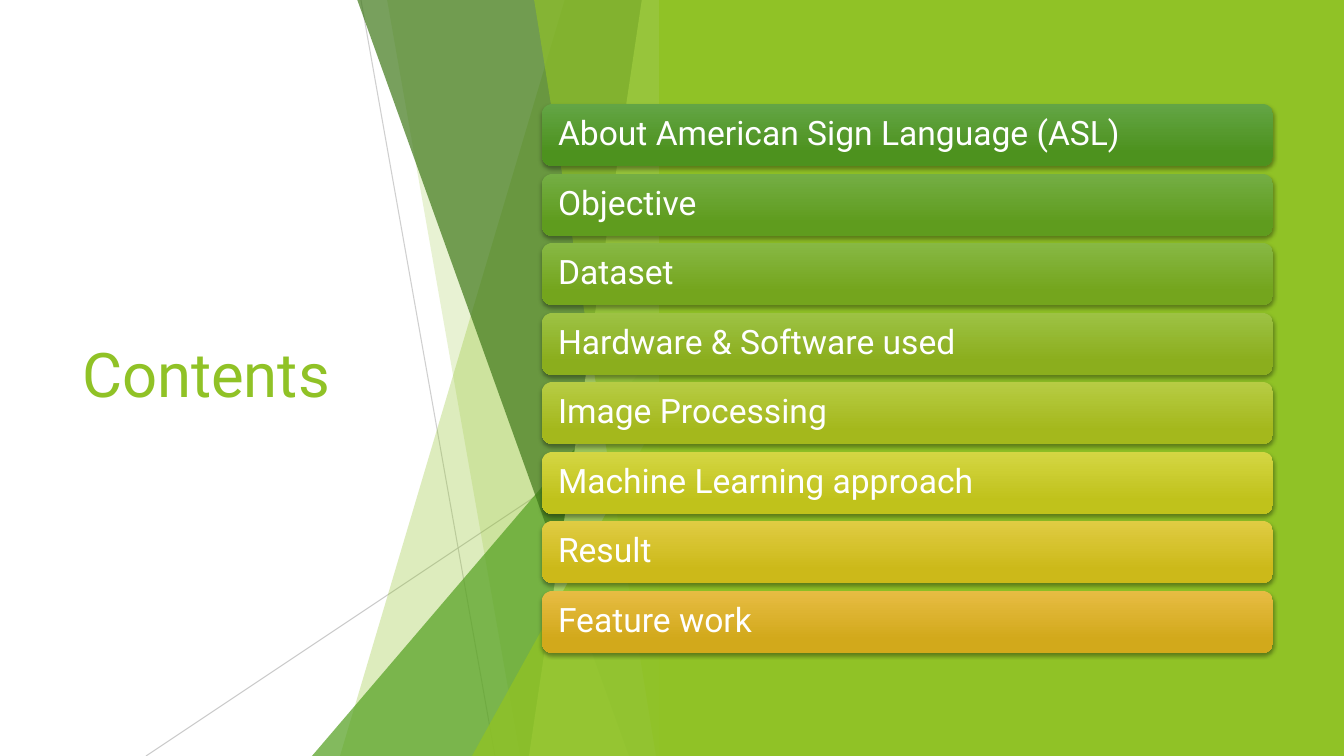
import pptx
import pptx.dml.color
import pptx.enum.shapes
import pptx.enum.text
import pptx.oxml
import pptx.oxml.ns
import pptx.util

SHAPE = pptx.enum.shapes.MSO_SHAPE
ALIGN = pptx.enum.text.PP_ALIGN
MIDDLE = pptx.enum.text.MSO_ANCHOR.MIDDLE
NS = pptx.oxml.ns.nsdecls("a")
WIDTH, HEIGHT = 1344, 756
BAND_RIGHT = 671

COLORS = {
    "lime": "90C226",
    "green": "54A021",
    "forest": "3F7819",
    "pale": "C0E474",
    "hairline": "BFBFBF",
    "white": "FFFFFF",
}

TOPICS = [
    ("About American Sign Language (ASL)", "63A545", "4D921E"),
    ("Objective", "74AE44", "5F9C1E"),
    ("Dataset", "87B844", "74A51D"),
    ("Hardware & Software used", "9DC244", "8BAE1D"),
    ("Image Processing", "B7CC44", "A4B81C"),
    ("Machine Learning approach", "D4D643", "C0C21B"),
    ("Result", "E0CC43", "CCB919"),
    ("Feature work", "E7BC43", "D2A91B"),
]


def px(length):
    return round(length * 12192000 / WIDTH)


def rgb(value):
    return pptx.dml.color.RGBColor.from_string(value)


class ContentsSlide:
    """Draws the elements of the contents slide in one shared style."""

    font = "Roboto"

    def __init__(self, deck):
        self.slide = deck.slides.add_slide(deck.slide_layouts[5])
        self.shapes = self.slide.shapes

    def set_alpha(self, fill, percent):
        color = fill._xPr.find(".//" + pptx.oxml.ns.qn("a:srgbClr"))
        color.append(pptx.oxml.parse_xml(f'<a:alpha {NS} val="{percent * 1000}"/>'))

    def paint(self, shape, color, alpha=100):
        shape.shadow.inherit = False
        shape.line.fill.background()
        shape.fill.solid()
        shape.fill.fore_color.rgb = rgb(COLORS[color])
        if alpha < 100:
            self.set_alpha(shape.fill, alpha)

    def set_text(self, frame, text, size, color):
        frame.text = text
        frame.word_wrap = True
        frame.vertical_anchor = MIDDLE
        paragraph = frame.paragraphs[0]
        paragraph.alignment = ALIGN.LEFT
        paragraph.line_spacing = 0.9
        paragraph.font.name = self.font
        paragraph.font.size = pptx.util.Pt(size)
        paragraph.font.color.rgb = rgb(COLORS[color])

    def title(self, text, left, top, width, height):
        heading = self.shapes.title
        heading.left, heading.top = px(left), px(top)
        heading.width, heading.height = px(width), px(height)
        self.set_text(heading.text_frame, text, 44, "lime")

    def hairline(self, x1, y1, x2, y2, alpha):
        line = self.shapes.add_connector(
            pptx.enum.shapes.MSO_CONNECTOR.STRAIGHT, px(x1), px(y1), px(x2), px(y2))
        line.line.width = pptx.util.Pt(0.75)
        line.line.fill.solid()
        line.line.color.rgb = rgb(COLORS["hairline"])
        self.set_alpha(line.line.fill, alpha)
        line._element.spPr.append(pptx.oxml.parse_xml(f"<a:effectLst {NS}/>"))

    def shard(self, top_left, bottom_left, color, alpha):
        outline = self.shapes.build_freeform(px(top_left), px(-1))
        outline.add_line_segments(
            [(px(x), px(y)) for x, y in
             ((BAND_RIGHT, -1), (BAND_RIGHT, HEIGHT), (bottom_left, HEIGHT))])
        self.paint(outline.convert_to_shape(), color, alpha)

    def wedge(self, left, top, color, alpha):
        triangle = self.shapes.add_shape(
            SHAPE.ISOSCELES_TRIANGLE, px(left), px(top),
            px(BAND_RIGHT - left), px(HEIGHT - top))
        triangle.adjustments[0] = 1
        self.paint(triangle, color, alpha)

    def panel(self, left):
        block = self.shapes.add_shape(
            SHAPE.RECTANGLE, px(left), 0, px(WIDTH - left), px(HEIGHT))
        self.paint(block, "lime")

    def topic_bar(self, text, light, dark, left, top, width, height):
        bar = self.shapes.add_shape(
            SHAPE.ROUNDED_RECTANGLE, px(left), px(top), px(width), px(height))
        bar.line.fill.background()
        bar.fill.gradient()
        bar.fill.gradient_angle = 270
        for stop, color, position in zip(bar.fill.gradient_stops, (light, dark), (0, 0.78)):
            stop.color.rgb = rgb(color)
            stop.position = position
        bar.shadow.inherit = False
        effects = bar._element.spPr.find(pptx.oxml.ns.qn("a:effectLst"))
        effects.append(pptx.oxml.parse_xml(
            f'<a:outerShdw {NS} blurRad="38100" dist="25400" dir="5400000" rotWithShape="0">'
            '<a:srgbClr val="000000"><a:alpha val="35000"/></a:srgbClr></a:outerShdw>'))
        frame = bar.text_frame
        frame.margin_left = frame.margin_right = px(13)
        self.set_text(frame, text, 24, "white")


def main():
    deck = pptx.Presentation()
    deck.slide_width, deck.slide_height = px(WIDTH), px(HEIGHT)
    contents = ContentsSlide(deck)

    contents.title("Contents", 72, 152, 391, 452)
    contents.hairline(361, 0, 495, HEIGHT, 75)
    contents.hairline(BAND_RIGHT, 406, 146, HEIGHT, 80)
    contents.shard(565, 340, "lime", 30)
    contents.shard(387, 520, "lime", 20)
    contents.wedge(312, 336, "green", 72)
    contents.shard(357, 629, "forest", 70)
    contents.shard(642, 529, "pale", 70)
    contents.shard(534, 656, "lime", 65)
    contents.wedge(472, 396, "lime", 80)
    contents.panel(659)

    for row, (topic, light, dark) in enumerate(TOPICS):
        top = 104 + (139 * row + 1) // 2
        contents.topic_bar(topic, light, dark, 542, top, 731, 62)

    deck.save("out.pptx")


if __name__ == "__main__":
    main()
